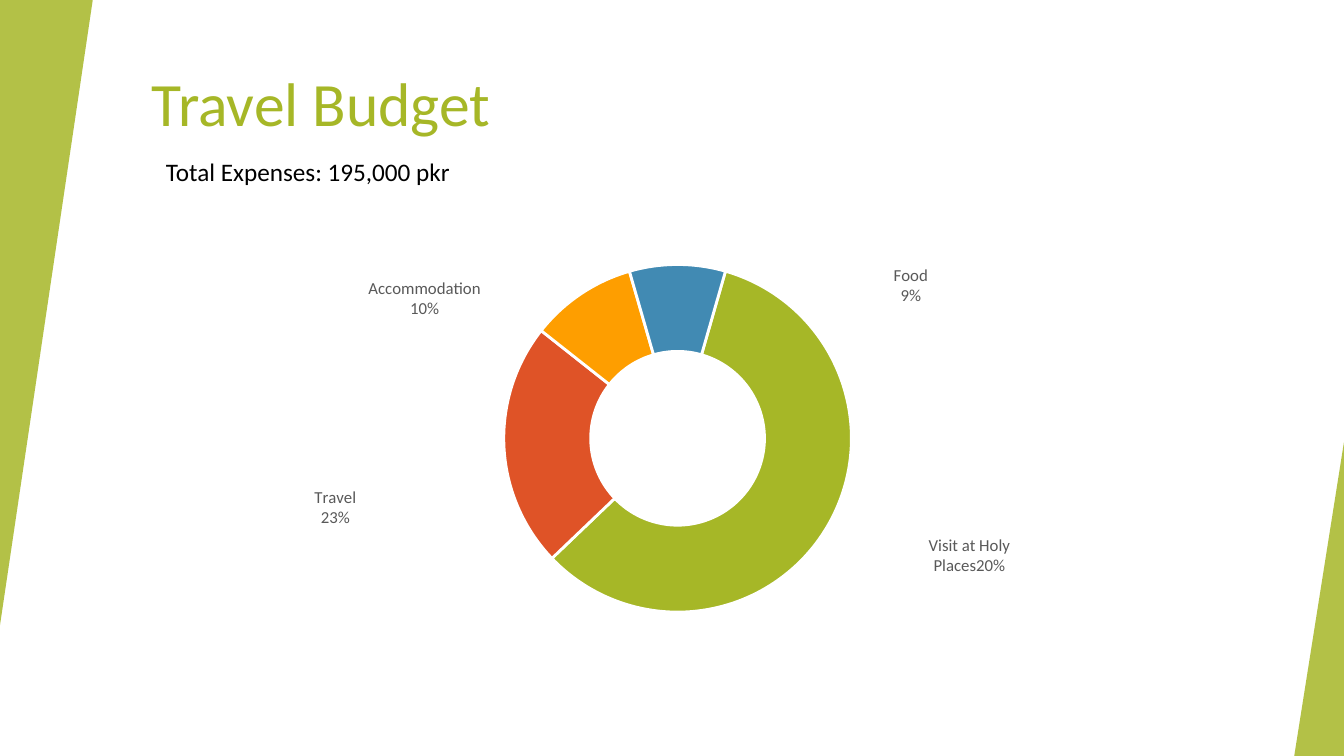
from lxml import etree
from pptx import Presentation, util as u
from pptx.chart.data import CategoryChartData
from pptx.dml.color import RGBColor
from pptx.enum import chart as ch, shapes, text
from pptx.oxml import parse_xml
from pptx.oxml.ns import nsdecls, qn

COLORS = {"green": "A6B727", "red": "DF5327", "orange": "FE9E00",
          "blue": "418AB3", "white": "FFFFFF", "black": "000000", "gray": "595959"}
FONT = "Calibri"
BUDGET = [("Visit at Holy Places", 59, "green", (0.17, 0.11)),
          ("Travel", 23, "red", (-0.2, 0.14)),
          ("Accommodation", 10, "orange", (-0.17, -0.07)),
          ("Food", 9, "blue", (0.22, -0.05))]


def rgb(name):
    return RGBColor.from_string(COLORS[name])


def set_font(font, size, color):
    font.name, font.size = FONT, u.Pt(size)
    font.color.rgb = rgb(color)


def add_text(s, box, words, size=18, color="black", anchor=text.MSO_ANCHOR.TOP, spacing=1.0):
    tf = s.shapes.add_textbox(*map(u.Pt, box)).text_frame
    tf.word_wrap = True
    tf.vertical_anchor = anchor
    p = tf.paragraphs[0]
    p.line_spacing = spacing
    r = p.add_run()
    r.text = words
    set_font(r.font, size, color)


def add_wedge(s, box, rotation=0):
    sp = s.shapes.add_shape(shapes.MSO_SHAPE.ISOSCELES_TRIANGLE, *map(u.Pt, box))
    sp.adjustments[0] = 1
    sp.rotation = rotation
    sp.shadow.inherit = False
    sp.fill.solid()
    sp.fill.fore_color.rgb = rgb("green")
    sp.line.fill.background()
    clr = sp.fill._xPr.find(".//" + qn("a:srgbClr"))
    etree.SubElement(clr, qn("a:alpha")).set("val", "85000")


def manual_layout(**values):
    parts = "".join(f'<c:{k} val="{v}"/>' for k, v in values.items())
    return parse_xml(f'<c:layout {nsdecls("c")}><c:manualLayout>{parts}'
                     '</c:manualLayout></c:layout>')


def show_category_percent(labels):
    for tag, val in (("showVal", "0"), ("showCatName", "1"), ("showPercent", "1")):
        labels.find(qn("c:" + tag)).set("val", val)
    sep = etree.SubElement(labels, qn("c:separator"))
    sep.text = "\n"
    labels.find(qn("c:showBubbleSize")).addnext(sep)


def hide_leader_lines(labels):
    lines = labels.find(qn("c:showLeaderLines"))
    if lines is None:
        lines = etree.Element(qn("c:showLeaderLines"))
        labels.find(qn("c:separator")).addnext(lines)
    lines.set("val", "0")


def add_budget_chart(s, box):
    data = CategoryChartData()
    data.categories = [row[0] for row in BUDGET]
    data.add_series("Travel Budget", [row[1] for row in BUDGET])
    chart = s.shapes.add_chart(ch.XL_CHART_TYPE.DOUGHNUT, *map(u.Pt, box), data).chart
    chart.has_legend = chart.has_title = False
    set_font(chart.font, 10, "black")
    plot = chart.plots[0]
    plot.vary_by_categories = True
    ring = plot._element
    ring.find(qn("c:holeSize")).set("val", "50")
    ring.find(qn("c:firstSliceAng")).set("val", "16")
    area = ring.getparent()
    for old in area.findall(qn("c:layout")):
        area.remove(old)
    area.insert(0, manual_layout(layoutTarget="inner", xMode="edge", yMode="edge",
                                 x=0.34, y=0.11, w=0.33, h=0.77))

    series = plot.series[0]
    for i, (_, _, color, _) in enumerate(BUDGET):
        point = series.points[i]
        point.format.fill.solid()
        point.format.fill.fore_color.rgb = rgb(color)
        point.format.line.color.rgb = rgb("white")
        point.format.line.width = u.Pt(2)
        label = point.data_label
        if i == 0:
            r = label.text_frame.paragraphs[0].add_run()
            r.text = "Visit at Holy Places20%"
            set_font(r.font, 12, "gray")
        else:
            set_font(label.font, 12, "gray")
    labels = series.data_labels
    set_font(labels.font, 12, "gray")
    show_category_percent(labels._element)
    hide_leader_lines(labels._element)
    for d, (_, _, _, (dx, dy)) in zip(labels._element.findall(qn("c:dLbl")), BUDGET):
        show_category_percent(d)
        pos = d.find(qn("c:dLblPos"))
        if pos is not None:
            d.remove(pos)
        d.find(qn("c:idx")).addnext(manual_layout(x=dx, y=dy))


def add_budget_slide(prs):
    s = prs.slides.add_slide(prs.slide_layouts[6])
    s.background.fill.solid()
    s.background.fill.fore_color.rgb = rgb("white")
    add_text(s, (101.5, 33, 803, 86.5), "Travel Budget", size=44, color="green",
             anchor=text.MSO_ANCHOR.MIDDLE, spacing=0.9)
    add_wedge(s, (0, 0, 66.25, 446.5), rotation=180)
    add_wedge(s, (924.5, 316, 35.5, 224))
    add_budget_chart(s, (101.5, 153.5, 757.5, 322.5))
    add_text(s, (111.5, 108, 359.5, 29), "Total Expenses: 195,000 pkr")


def main():
    prs = Presentation()
    prs.slide_width, prs.slide_height = u.Pt(960), u.Pt(540)
    add_budget_slide(prs)
    prs.save("out.pptx")


if __name__ == "__main__":
    main()
